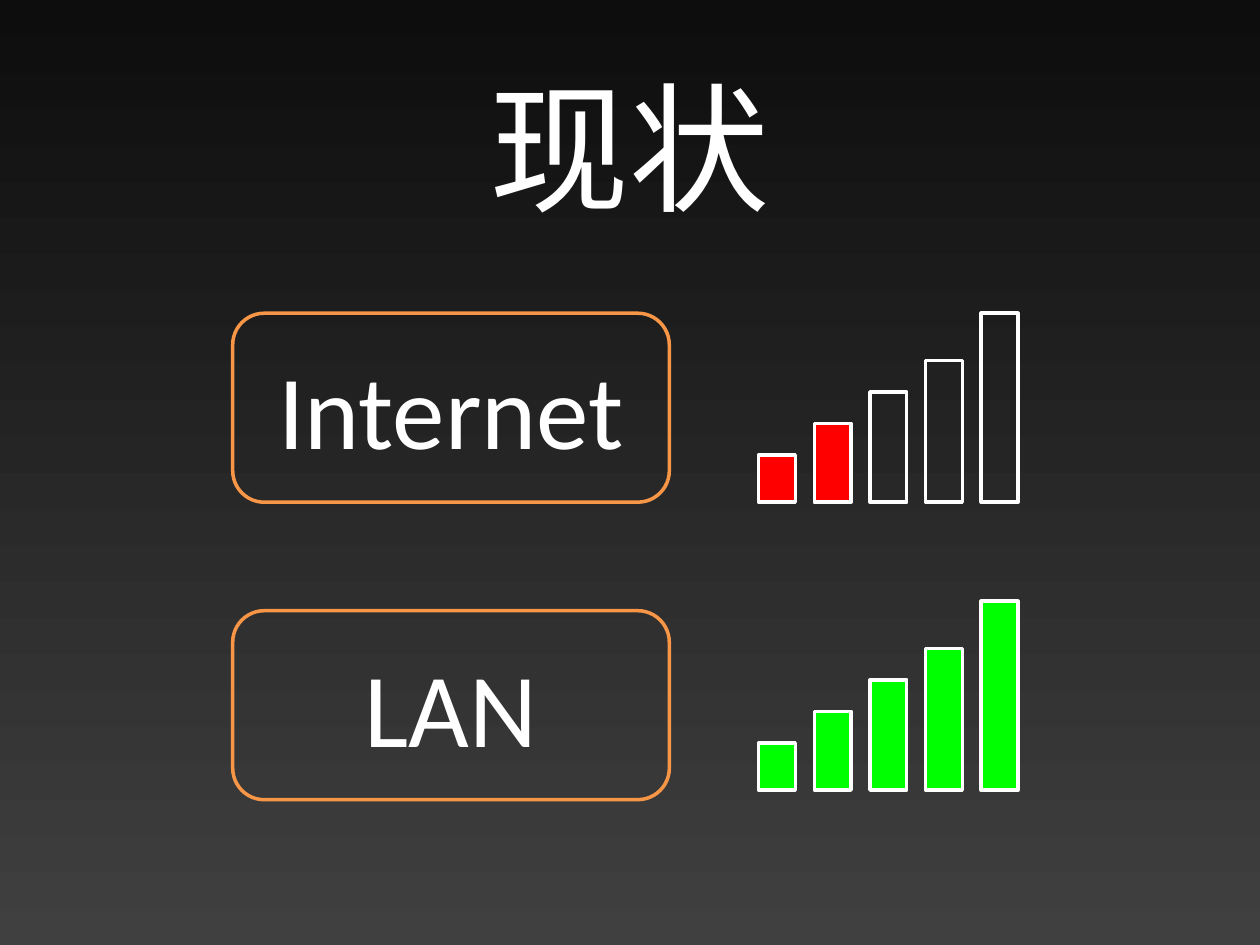
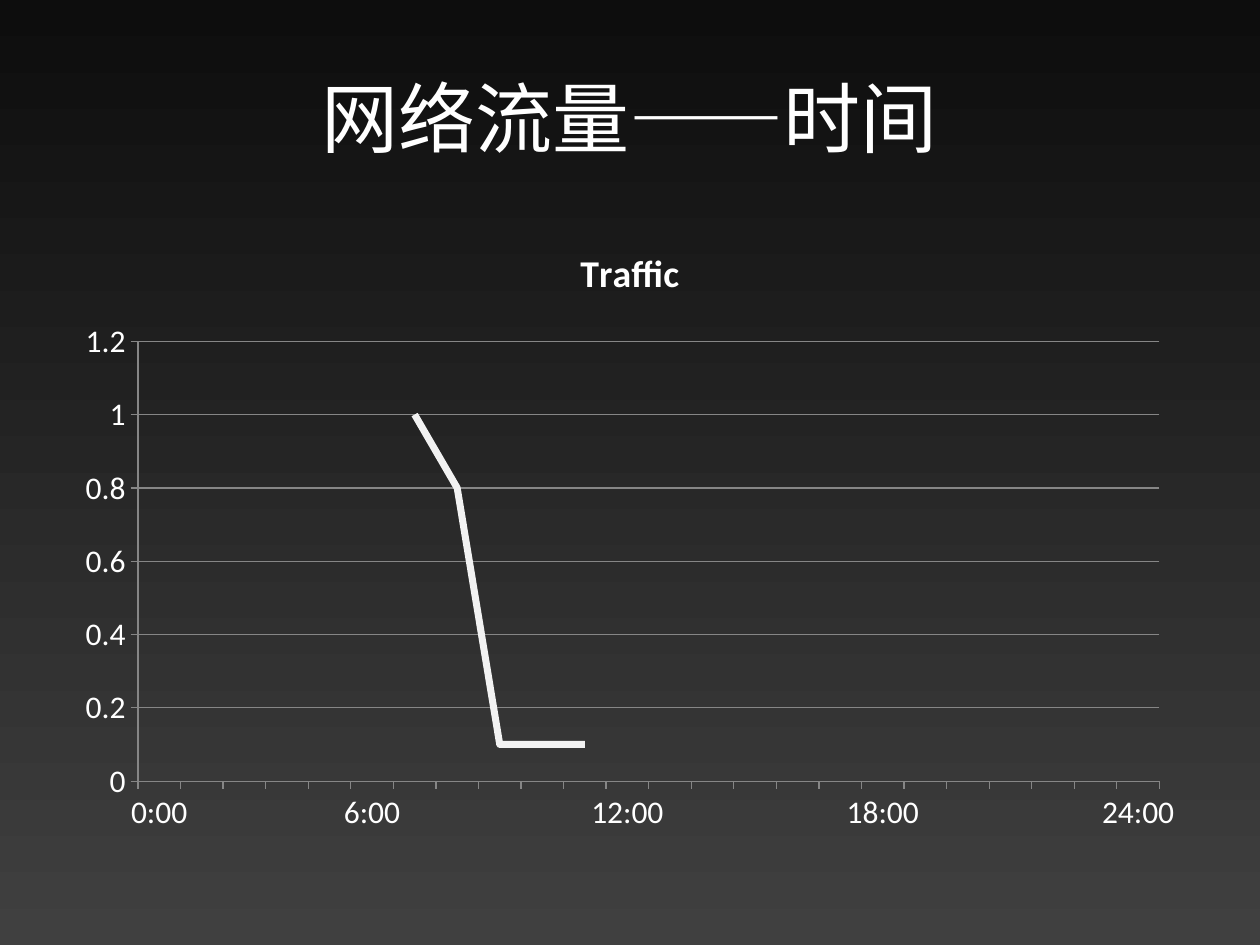
from dataclasses import dataclass
from lxml.etree import SubElement as Sub
from pptx import Presentation
from pptx.chart.data import CategoryChartData as Data
from pptx.dml.color import RGBColor as RGB
from pptx.enum.chart import XL_CHART_TYPE as Kind, XL_TICK_MARK as Tick
from pptx.enum.shapes import MSO_SHAPE as Form
from pptx.enum.text import MSO_ANCHOR as Anchor, PP_ALIGN as Align
from pptx.oxml.ns import qn
from pptx.util import Pt


@dataclass(frozen=True)
class Theme:
    dark: RGB = RGB.from_string("0D0D0D")
    gray: RGB = RGB.from_string("404040")
    white: RGB = RGB.from_string("FFFFFF")
    pale: RGB = RGB.from_string("F2F2F2")
    grid: RGB = RGB.from_string("868686")
    orange: RGB = RGB.from_string("F79646")
    red: RGB = RGB.from_string("FF0000")
    green: RGB = RGB.from_string("00FF00")
    latin: str = "Calibri"
    asian: str = "Noto Sans CJK SC"
    huge: float = 80
    head: float = 44
    label: float = 60
    name: float = 21.6
    axis: float = 18


theme = Theme()
deck = Presentation()
deck.slide_width, deck.slide_height = Pt(720), Pt(540)


def write(shape, text, size, face):
    frame = shape.text_frame
    frame.word_wrap = True
    frame.vertical_anchor = Anchor.MIDDLE
    para = frame.paragraphs[0]
    para.text = text
    para.alignment = Align.CENTER
    para.font.size = Pt(size)
    para.font.name = face
    para.font.color.rgb = theme.white
    Sub(para._p.pPr.find(qn("a:defRPr")), qn("a:ea"), typeface=theme.asian)


def start(title, top, size):
    slide = deck.slides.add_slide(deck.slide_layouts[6])
    fill = slide.background.fill
    fill.gradient()
    fill.gradient_angle = 270
    for stop, color in zip(fill.gradient_stops, (theme.dark, theme.gray)):
        stop.color.rgb = color
    box = slide.shapes.add_textbox(Pt(36), Pt(top), Pt(648), Pt(90))
    write(box, title, size, theme.asian)
    return slide


slide = start("现状", 38, theme.huge)
links = [
    ("Internet", 179, 287, 2, theme.red),
    ("LAN", 349, 451.5, 5, theme.green),
]
for text, top, base, level, color in links:
    group = slide.shapes.add_group_shape()
    box = group.shapes.add_shape(
        Form.ROUNDED_RECTANGLE, Pt(133), Pt(top), Pt(249.5), Pt(108))
    box.shadow.inherit = False
    box.fill.background()
    box.line.color.rgb = theme.orange
    box.line.width = Pt(2)
    write(box, text, theme.label, theme.latin)
    for i, high in enumerate((27, 45, 63, 81, 108)):
        bar = group.shapes.add_shape(
            Form.RECTANGLE, Pt(433.5 + 31.8 * i), Pt(base - high), Pt(21), Pt(high))
        bar.shadow.inherit = False
        bar.line.color.rgb = theme.white
        bar.line.width = Pt(2)
        if i < level:
            bar.fill.solid()
            bar.fill.fore_color.rgb = color
        else:
            bar.fill.background()

slide = start("网络流量——时间", 21.6, theme.head)
hours = {0: "0:00", 5: "6:00", 11: "12:00", 17: "18:00", 23: "24:00"}
flow = {6: 1, 7: 0.8, 8: 0.1, 9: 0.1, 10: 0.1}
data = Data()
data.categories = [hours.get(i, "") for i in range(24)]
data.add_series("Traffic", [flow.get(i) for i in range(24)])
chart = slide.shapes.add_chart(
    Kind.LINE_STACKED, Pt(36), Pt(126), Pt(648), Pt(356.4), data).chart
chart.font.name = theme.latin
chart.font.size = Pt(theme.axis)
chart.font.color.rgb = theme.white
chart.has_legend = False
chart.has_title = True
para = chart.chart_title.text_frame.paragraphs[0]
para.text = "Traffic"
para.font.name = theme.latin
para.font.size = Pt(theme.name)
para.font.bold = True
para.font.color.rgb = theme.white
for axis in (chart.category_axis, chart.value_axis):
    axis.major_tick_mark = Tick.OUTSIDE
    axis.minor_tick_mark = Tick.NONE
    axis.format.line.color.rgb = theme.grid
    axis.format.line.width = Pt(0.75)
axis = chart.value_axis
axis.minimum_scale, axis.maximum_scale, axis.major_unit = 0, 1.2, 0.2
axis.has_major_gridlines = True
axis.major_gridlines.format.line.color.rgb = theme.grid
axis.major_gridlines.format.line.width = Pt(0.75)
chart.plots[0].vary_by_categories = False
line = chart.plots[0].series[0]
line.smooth = False
line.format.line.color.rgb = theme.pale
line.format.line.width = Pt(4)

deck.save("out.pptx")
